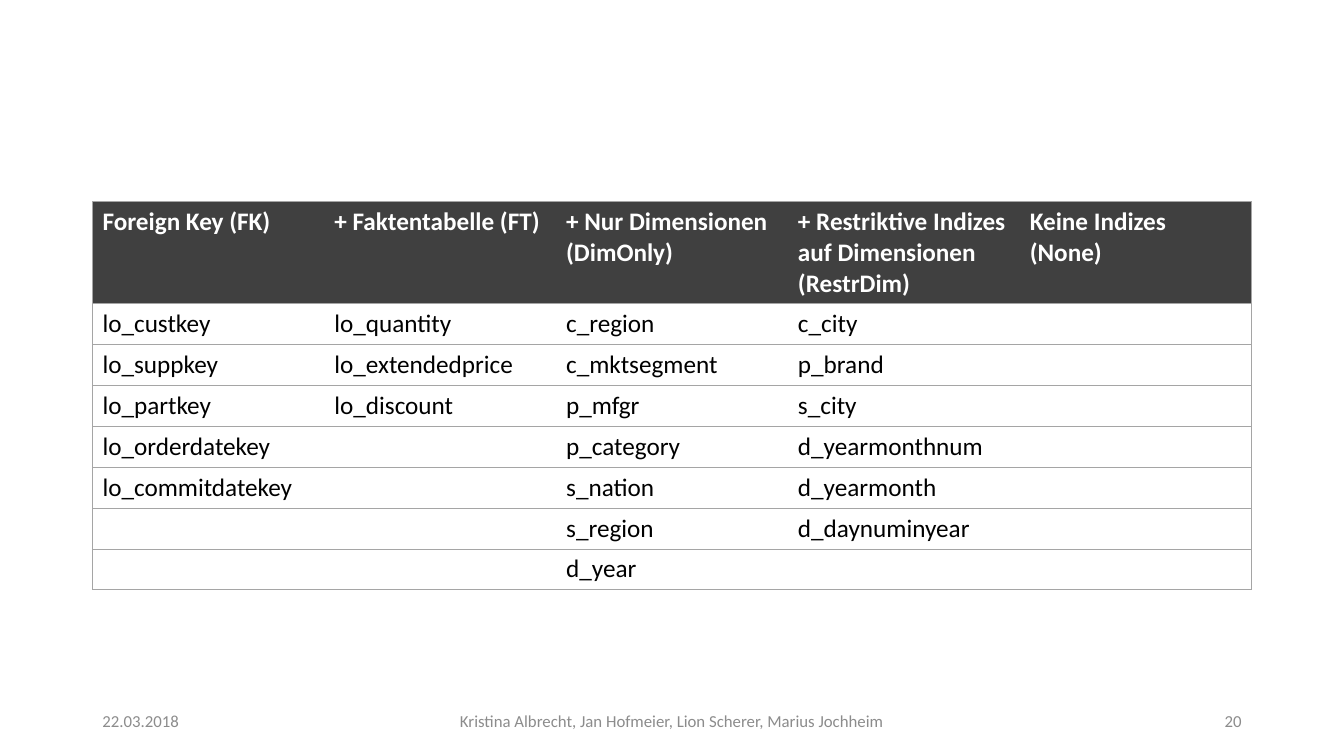
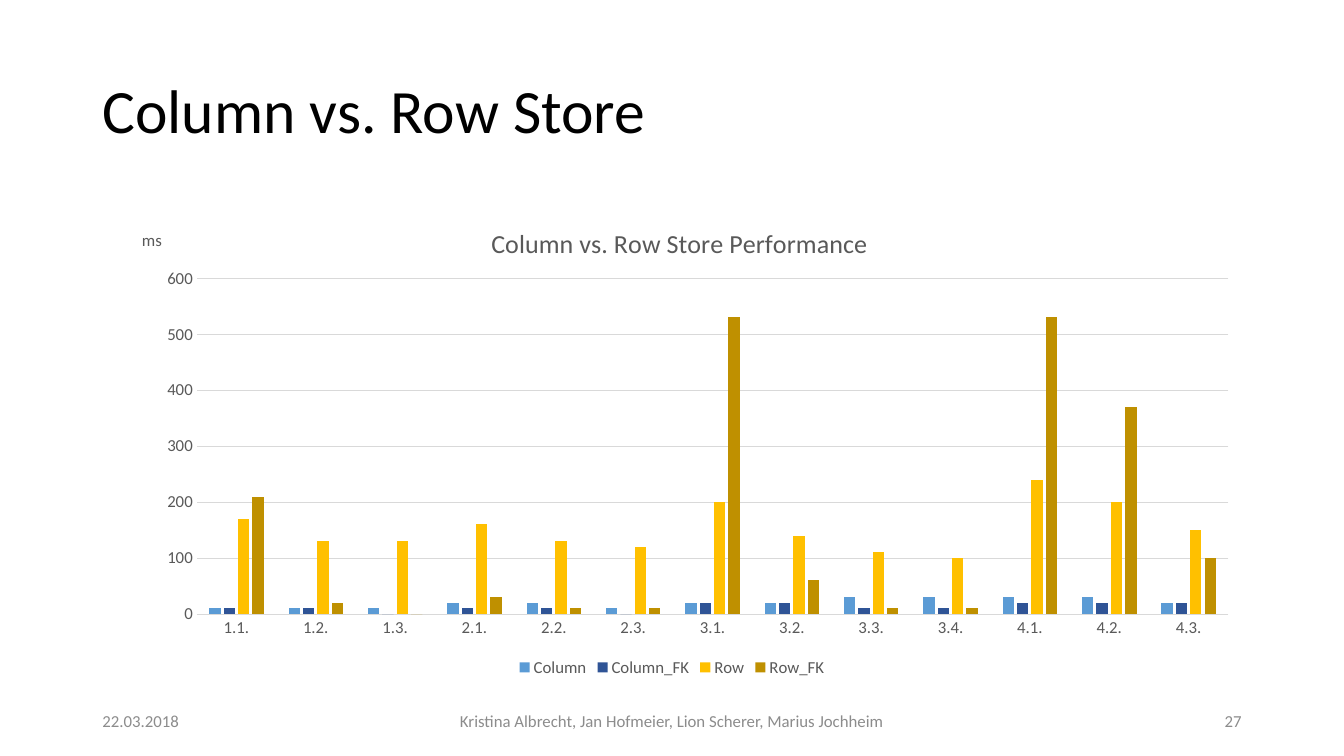
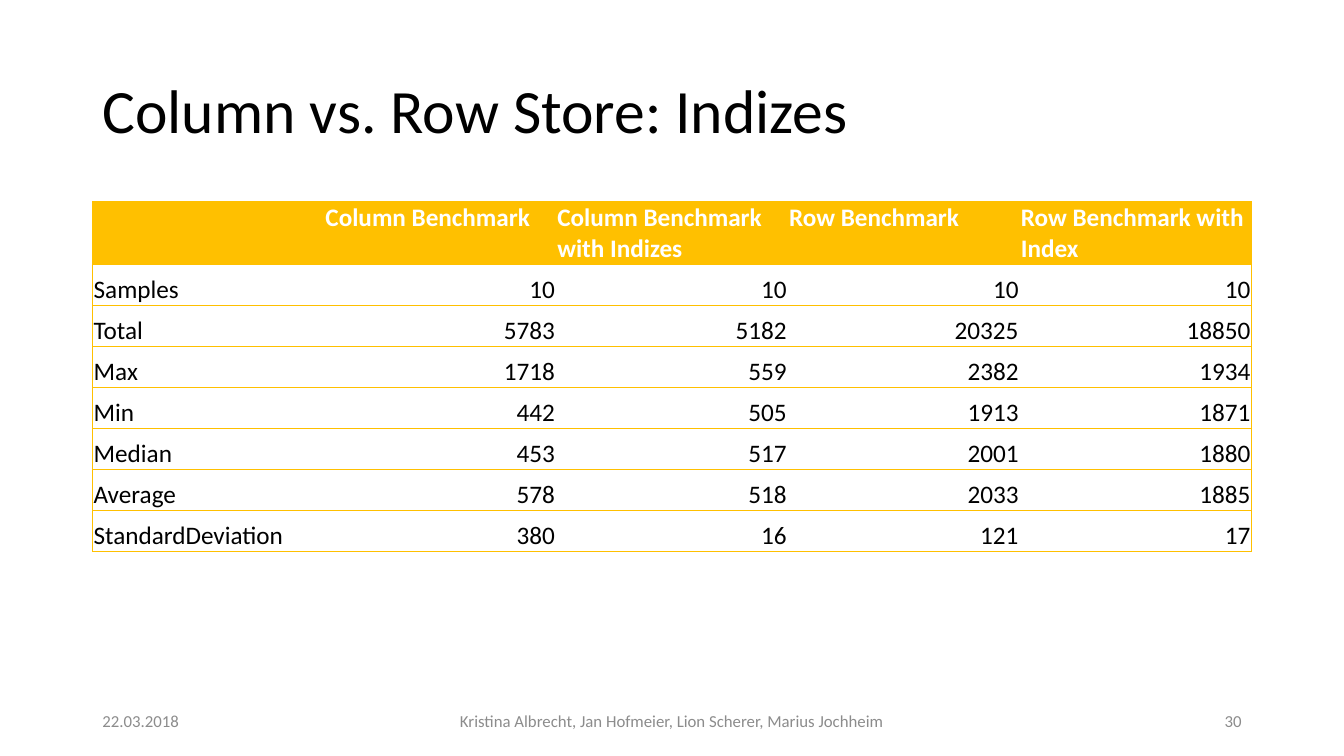
from lxml import etree
from pptx import Presentation
from pptx.chart.data import CategoryChartData
from pptx.dml.color import RGBColor
from pptx.enum import chart as ch, text as tx
from pptx.oxml import parse_xml
from pptx.oxml.ns import nsdecls, qn
from pptx.util import Cm, Pt

FONT = "Calibri"
INK = {
    "black": "000000", "white": "FFFFFF", "dark": "404040", "gold": "FFC000",
    "rule": "A5A5A5", "foot": "8C8C8C", "label": "595959", "grid": "D9D9D9",
    "blue": "5B9BD5", "navy": "2F5496", "ochre": "BF9000",
}
PLAIN = "{2D5ABB26-0587-4C30-8999-92F81FD0307C}"  # table style without grid
LEFT, TOP, WIDE = 2.33, 5.08, 29.21
ROW = 1.03
ALIGN = {"l": tx.PP_ALIGN.LEFT, "c": tx.PP_ALIGN.CENTER, "r": tx.PP_ALIGN.RIGHT}

DATE = "22.03.2018"
TEAM = "Kristina Albrecht, Jan Hofmeier, Lion Scherer, Marius Jochheim"

KEYS = [
    ["Foreign Key (FK)", "+ Faktentabelle (FT)", "+ Nur Dimensionen (DimOnly)",
     "+ Restriktive Indizes auf Dimensionen (RestrDim)", "Keine Indizes (None)"],
    ["lo_custkey", "lo_quantity", "c_region", "c_city", ""],
    ["lo_suppkey", "lo_extendedprice", "c_mktsegment", "p_brand", ""],
    ["lo_partkey", "lo_discount", "p_mfgr", "s_city", ""],
    ["lo_orderdatekey", "", "p_category", "d_yearmonthnum", ""],
    ["lo_commitdatekey", "", "s_nation", "d_yearmonth", ""],
    ["", "", "s_region", "d_daynuminyear", ""],
    ["", "", "d_year", "", ""],
]
STATS = [
    ["", "Column Benchmark", "Column Benchmark with Indizes", "Row Benchmark",
     "Row Benchmark with Index"],
    ["Samples", "10", "10", "10", "10"],
    ["Total", "5783", "5182", "20325", "18850"],
    ["Max", "1718", "559", "2382", "1934"],
    ["Min", "442", "505", "1913", "1871"],
    ["Median", "453", "517", "2001", "1880"],
    ["Average", "578", "518", "2033", "1885"],
    ["StandardDeviation", "380", "16", "121", "17"],
]
CATS = ["1.1.", "1.2.", "1.3.", "2.1.", "2.2.", "2.3.", "3.1.", "3.2.", "3.3.",
        "3.4.", "4.1.", "4.2.", "4.3."]
TIMES = [
    ("Column", "blue", [10, 10, 10, 20, 20, 10, 20, 20, 30, 30, 30, 30, 20]),
    ("Column_FK", "navy", [10, 10, 0, 10, 10, 0, 20, 20, 10, 10, 20, 20, 20]),
    ("Row", "gold", [170, 130, 130, 160, 130, 120, 200, 140, 110, 100, 240, 200, 150]),
    ("Row_FK", "ochre", [210, 20, 0, 30, 10, 10, 530, 60, 10, 10, 530, 370, 100]),
]


def tint(name):
    return RGBColor.from_string(INK[name])


def style(font, size, ink, bold=False):
    font.name, font.size, font.bold = FONT, Pt(size), bold
    font.color.rgb = tint(ink)


def put(frame, words, size=18, ink="black", bold=False, align="l", lead=None):
    """Write one formatted paragraph into a text frame."""
    para = frame.paragraphs[0]
    para.alignment = ALIGN[align]
    if lead:
        para.line_spacing = lead
    if words:
        run = para.add_run()
        run.text = words
        style(run.font, size, ink, bold)
    else:
        style(para.font, size, ink, bold)


def foot(slide, page):
    parts = [(LEFT, 7.62, DATE, "l"), (11.22, 11.43, TEAM, "c"),
             (LEFT + WIDE - 7.62, 7.62, str(page), "r")]
    for left, wide, words, align in parts:
        frame = slide.shapes.add_textbox(
            Cm(left), Cm(17.66), Cm(wide), Cm(1.01)).text_frame
        frame.word_wrap = True
        frame.vertical_anchor = tx.MSO_ANCHOR.MIDDLE
        put(frame, words, size=12, ink="foot", align=align)


def start(deck, page, title=None):
    """Add a slide with its footer and, if given, its title."""
    slide = deck.slides.add_slide(deck.slide_layouts[5 if title else 6])
    if title:
        head = slide.shapes.title
        head.left, head.top = Cm(LEFT), Cm(1.01)
        head.width, head.height = Cm(WIDE), Cm(3.68)
        head.text_frame.vertical_anchor = tx.MSO_ANCHOR.MIDDLE
        put(head.text_frame, title, size=44, lead=0.9)
    foot(slide, page)
    return slide


def edge(cell, sides, ink):
    """Draw the named sides (L, R, T, B) of a cell and clear the others."""
    props = cell._tc.get_or_add_tcPr()
    for spot, side in enumerate("LRTB"):
        paint = (f'<a:solidFill><a:srgbClr val="{INK[ink]}"/></a:solidFill>'
                 if side in sides else "<a:noFill/>")
        props.insert(spot, parse_xml(
            f'<a:ln{side} {nsdecls("a")} w="6350">{paint}</a:ln{side}>'))


def grid(slide, box, rows, head, fill, rule, tight=False):
    """Place a ruled table; tight has no insets and right-aligned numbers."""
    left, top, wide = box
    count = len(rows[0])
    table = slide.shapes.add_table(
        len(rows), count, Cm(left), Cm(top), Cm(wide),
        Cm(head + ROW * (len(rows) - 1))).table
    table._tbl.tblPr.find(qn("a:tableStyleId")).text = PLAIN
    table.horz_banding = False
    for r, row in enumerate(rows):
        table.rows[r].height = Cm(ROW if r else head)
        for c, words in enumerate(row):
            cell = table.cell(r, c)
            if r:
                cell.fill.background()
            else:
                cell.fill.solid()
                cell.fill.fore_color.rgb = tint(fill)
            if tight:
                cell.margin_left = cell.margin_right = cell.margin_top = Cm(0.03)
                cell.margin_bottom = 0
                if r:
                    cell.vertical_anchor = tx.MSO_ANCHOR.BOTTOM
            put(cell.text_frame, words, ink="black" if r else "white",
                bold=not r, align="r" if tight and r and c else "l")
            sides = "TB" + "L" * (c == 0) + "R" * (c == count - 1)
            edge(cell, sides, rule)


def fix(node, spot, inner=False, **parts):
    """Give a chart part a manual layout, in shares of the chart."""
    for old in node.findall(qn("c:layout")):
        node.remove(old)
    layout = etree.Element(qn("c:layout"))
    manual = etree.SubElement(layout, qn("c:manualLayout"))
    marks = [("layoutTarget", "inner")] if inner else []
    marks += [("xMode", "edge"), ("yMode", "edge"), *parts.items()]
    for tag, val in marks:
        etree.SubElement(manual, qn("c:" + tag)).set("val", str(val))
    node.insert(spot, layout)


def label(title, words, size, x, y):
    put(title.text_frame, words, size=size, ink="label", align="c")
    title.text_frame._txBody.bodyPr.set("rot", "0")
    fix(title._element, 1, x=x, y=y)


def bars(slide, box):
    data = CategoryChartData()
    data.categories = CATS
    for name, _, vals in TIMES:
        data.add_series(name, vals)
    chart = slide.shapes.add_chart(
        ch.XL_CHART_TYPE.COLUMN_CLUSTERED, *map(Cm, box), data).chart
    style(chart.font, 10, "black")
    chart.has_title = True
    label(chart.chart_title, "Column vs. Row Store Performance", 18.6, 0.34, 0.04)

    plot = chart.plots[0]
    plot.vary_by_categories = False
    plot.gap_width, plot.overlap = 219, -27
    for series, (_, ink, _) in zip(plot.series, TIMES):
        series.format.fill.solid()
        series.format.fill.fore_color.rgb = tint(ink)
    fix(chart._chartSpace.chart.plotArea, 0, inner=True,
        x=0.09, y=0.16, w=0.89, h=0.7)

    cat, val = chart.category_axis, chart.value_axis
    for axis in (cat, val):
        axis.major_tick_mark = axis.minor_tick_mark = ch.XL_TICK_MARK.NONE
        style(axis.tick_labels.font, 12, "label")
    val.minimum_scale, val.maximum_scale, val.major_unit = 0, 600, 100
    val.format.line.fill.background()
    for line in (cat.format.line, val.major_gridlines.format.line):
        line.color.rgb, line.width = tint("grid"), Pt(0.75)
    val.has_title = True
    label(val.axis_title, "ms", 12, 0.04, 0.05)

    chart.has_legend = True
    chart.legend.position = ch.XL_LEGEND_POSITION.BOTTOM
    chart.legend.include_in_layout = False
    style(chart.legend.font, 12, "label")


def main():
    deck = Presentation()
    deck.slide_width, deck.slide_height = Cm(33.87), Cm(19.05)
    box = (LEFT, TOP, WIDE)
    grid(start(deck, 20), box, KEYS, 2.57, "dark", "rule")
    bars(start(deck, 27, "Column vs. Row Store"), (*box, 12.09))
    grid(start(deck, 30, "Column vs. Row Store: Indizes"), box, STATS, 1.59,
         "gold", "gold", tight=True)
    deck.save("out.pptx")


if __name__ == "__main__":
    main()
